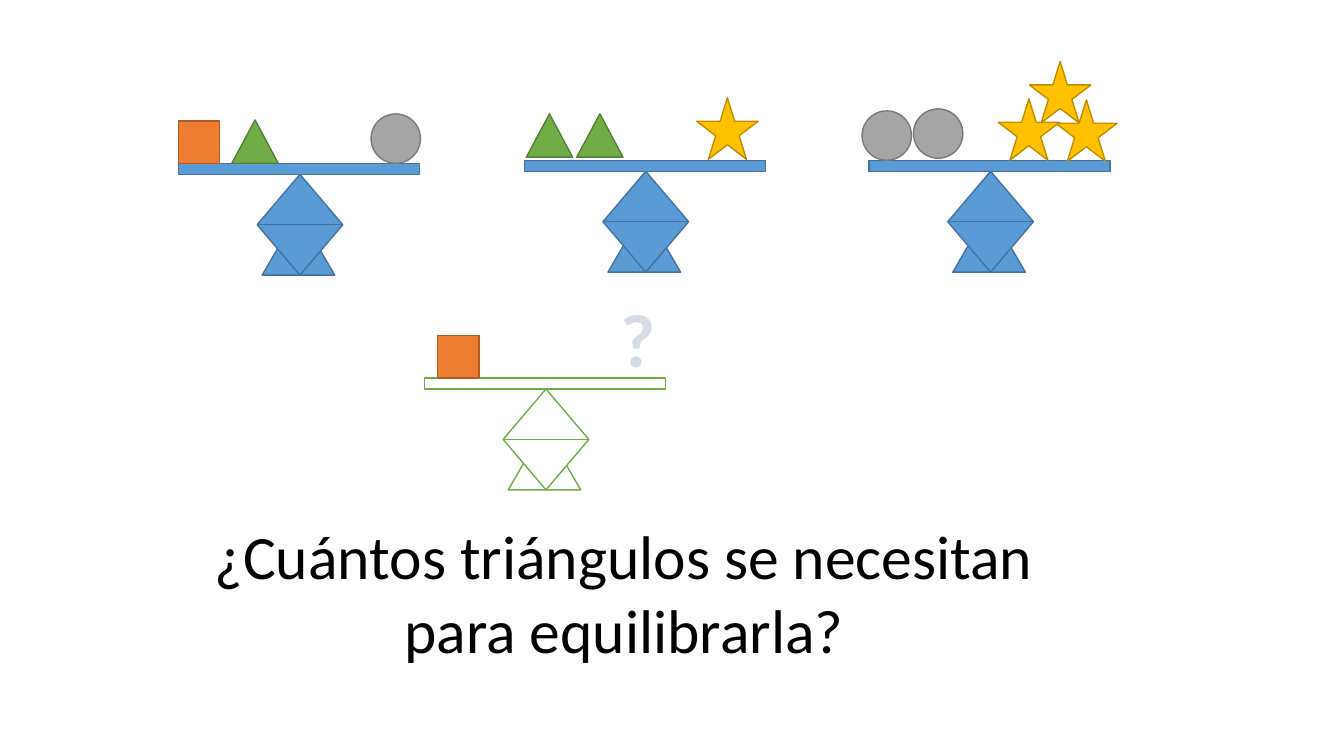
from pptx import Presentation
from pptx import util as u
from pptx.dml.color import RGBColor
from pptx.enum import shapes, text

KIND = shapes.MSO_SHAPE
HUES = {
    "blue": "5B9BD5", "navy": "43739E", "white": "FFFFFF", "green": "70AD47",
    "moss": "538035", "orange": "ED7D31", "rust": "AF5C24", "gray": "A5A5A5",
    "slate": "7A7A7A", "gold": "FFC000", "ochre": "BD8E00", "pale": "D6DCE5",
    "black": "000000",
}
TOKENS = {
    "square": (KIND.RECTANGLE, 0.41, 0.42, "orange", "rust"),
    "cone": (KIND.ISOSCELES_TRIANGLE, 0.46, 0.43, "green", "moss"),
    "ball": (KIND.OVAL, 0.49, 0.49, "gray", "slate"),
    "star": (KIND.STAR_5_POINT, 0.61, 0.61, "gold", "ochre"),
}
PARTS = [
    (KIND.ISOSCELES_TRIANGLE, 0.83, 0.49, 0.72, 0.62),
    (KIND.FLOWCHART_SORT, 0.78, 0.11, 0.85, 1),
    (KIND.RECTANGLE, 0, 0, 2.39, 0.11),
]
SCALES = [
    (4.21, 3.75, "white", "green", [("square", 0.13, 0)]),
    (1.77, 1.62, "blue", "navy",
     [("square", 0, 0), ("cone", 0.53, 0), ("ball", 1.91, 0)]),
    (5.2, 1.59, "blue", "navy",
     [("cone", 0.02, 0.03), ("cone", 0.52, 0.03), ("star", 1.71, 0.01)]),
    (8.62, 1.59, "blue", "navy",
     [("ball", -0.07, 0), ("star", 1.85, -0.01), ("ball", 0.44, 0.02),
      ("star", 1.28, 0), ("star", 1.59, 0.37)]),
]


class Deck:
    """Hold the style and the current slide, and draw its elements."""

    def __init__(self):
        self.prs = Presentation()
        self.prs.slide_width = u.Inches(13.33)
        self.prs.slide_height = u.Inches(7.5)
        self.slide = self.prs.slides.add_slide(self.prs.slide_layouts[5])
        self.font = "Calibri"

    def hue(self, name):
        return RGBColor.from_string(HUES[name])

    def shape(self, home, kind, box, fill, line):
        item = home.add_shape(kind, *map(u.Inches, box))
        item.shadow.inherit = False
        item.fill.solid()
        item.fill.fore_color.rgb = self.hue(fill)
        item.line.color.rgb = self.hue(line)
        item.line.width = u.Pt(1)

    def scale(self, x, y, fill, line, load):
        group = self.slide.shapes.add_group_shape()
        for kind, dx, dy, w, h in PARTS:
            self.shape(group.shapes, kind, (x + dx, y + dy, w, h), fill, line)
        for name, dx, lift in load:
            kind, w, h, *paint = TOKENS[name]
            box = (x + dx, y - h - lift, w, h)
            self.shape(self.slide.shapes, kind, box, *paint)

    def words(self, frame, line, color, **style):
        para = frame.paragraphs[0]
        para.alignment = text.PP_ALIGN.CENTER
        run = para.add_run()
        run.text = line
        run.font.color.rgb = self.hue(color)
        for key, value in {"name": self.font, **style}.items():
            setattr(run.font, key, value)

    def label(self, box, line, color, **style):
        frame = self.slide.shapes.add_textbox(*map(u.Inches, box)).text_frame
        frame.word_wrap = False
        self.words(frame, line, color, **style)

    def title(self, box, line, color, **style):
        head = self.slide.shapes.title
        for key, value in zip(("left", "top", "width", "height"), box):
            setattr(head, key, u.Inches(value))
        form = {"word_wrap": True, "auto_size": text.MSO_AUTO_SIZE.NONE,
                "vertical_anchor": text.MSO_ANCHOR.TOP}
        for key, value in form.items():
            setattr(head.text_frame, key, value)
        self.words(head.text_frame, line, color, **style)


def main():
    deck = Deck()
    for scale in SCALES:
        deck.scale(*scale)
    deck.label((6.05, 2.85, 0.55, 1.01), "?", "pale",
               size=u.Pt(54), bold=True)
    deck.title((1.59, 5.09, 9.2, 1.58),
               "¿Cuántos triángulos se necesitan para equilibrarla?",
               "black", size=u.Pt(44))
    deck.prs.save("out.pptx")


if __name__ == "__main__":
    main()
